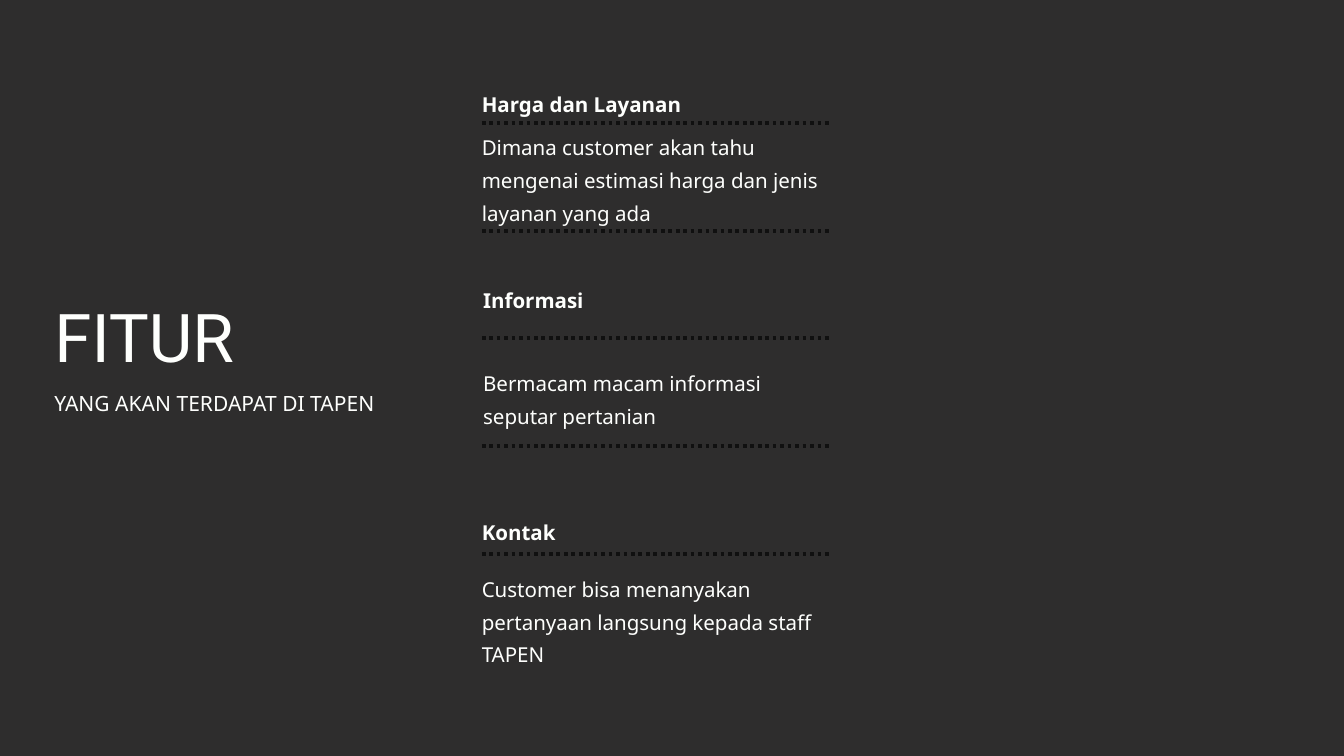
from lxml import etree
from pptx import Presentation
from pptx.dml.color import RGBColor
from pptx.enum.dml import MSO_LINE
from pptx.enum.shapes import MSO_CONNECTOR
from pptx.enum.text import MSO_ANCHOR, MSO_AUTO_SIZE, PP_ALIGN
from pptx.oxml.ns import qn
from pptx.util import Inches, Pt

STRAIGHT = MSO_CONNECTOR.STRAIGHT
DOTTED = MSO_LINE.ROUND_DOT
TOP = MSO_ANCHOR.TOP
NO_FIT = MSO_AUTO_SIZE.NONE
LEFT = PP_ALIGN.LEFT


def color(value):
    """Turn a hex string into a colour."""
    return RGBColor.from_string(value)


def write(sp, text, size=22, font="Noto Sans", fill="FEFFFD", bold=False, spacing=35.2):
    """Put one formatted paragraph into a shape without insets."""
    tf = sp.text_frame
    tf.word_wrap = True
    tf.auto_size = NO_FIT
    tf.vertical_anchor = TOP
    tf.margin_left = tf.margin_top = tf.margin_right = tf.margin_bottom = 0
    p = tf.paragraphs[0]
    p.alignment = LEFT
    p.line_spacing = Pt(spacing)
    p.space_before = Pt(0)
    r = p.add_run()
    r.text = text
    r.font.size = Pt(size)
    r.font.name = font
    r.font.bold = bold
    r.font.color.rgb = color(fill)


class Deck:
    """Hold the style and the current slide."""

    background = "2E2D2D"
    rule_color = "101010"

    def __init__(self, prs):
        self.s = prs.slides.add_slide(prs.slide_layouts[0])
        fill = self.s.background.fill
        fill.solid()
        fill.fore_color.rgb = color(self.background)

    def placeholder(self, idx, text, x, y, w, h, **style):
        """Move and fill a template placeholder."""
        sp = self.s.placeholders[idx]
        sp.left, sp.top, sp.width, sp.height = map(Inches, (x, y, w, h))
        write(sp, text, **style)

    def text(self, text, x, y, w, h, **style):
        """Add a text box."""
        sp = self.s.shapes.add_textbox(*map(Inches, (x, y, w, h)))
        write(sp, text, **style)

    def rule(self, x, y, w):
        """Add a dotted horizontal line."""
        sp = self.s.shapes.add_connector(STRAIGHT, *map(Inches, (x, y, x + w, y)))
        sp.line.color.rgb = color(self.rule_color)
        sp.line.width = Pt(4)
        sp.line.dash_style = DOTTED
        etree.SubElement(sp._element.spPr, qn("a:effectLst"))


FEATURES = [
    ("Harga dan Layanan", 7.17, 1.24, 1.89, 1.39,
     "Dimana customer akan tahu mengenai estimasi harga dan jenis layanan yang ada"),
    ("Informasi", 7.19, 4.16, 5.4, 0.6,
     "Bermacam macam informasi seputar pertanian"),
    ("Kontak", 7.17, 7.61, 8.46, 1.41,
     "Customer bisa menanyakan pertanyaan langsung kepada staff TAPEN"),
]
COLUMN_X, COLUMN_W = 7.17, 5.17
RULE_TOP, RULE_STEP, RULE_COUNT = 1.83, 1.6025, 5


def main():
    """Build the feature slide."""
    prs = Presentation()
    prs.slide_width, prs.slide_height = Inches(20), Inches(11.25)
    deck = Deck(prs)
    for i in range(RULE_COUNT):
        deck.rule(COLUMN_X, RULE_TOP + i * RULE_STEP, COLUMN_W)
    for heading, x, heading_y, body_y, body_h, body in FEATURES:
        deck.text(heading, x, heading_y, COLUMN_W, 0.63, bold=True)
        deck.text(body, x, body_y, COLUMN_W, body_h)
    deck.placeholder(0, "FITUR", 0.81, 4.4, 6.86, 1.21, size=72, font="Roboto", spacing=86.4)
    deck.placeholder(1, "YANG AKAN TERDAPAT DI TAPEN", 0.81, 5.75, 5.61, 0.39,
                     size=22.5, spacing=31.5)
    prs.save("out.pptx")


main()
